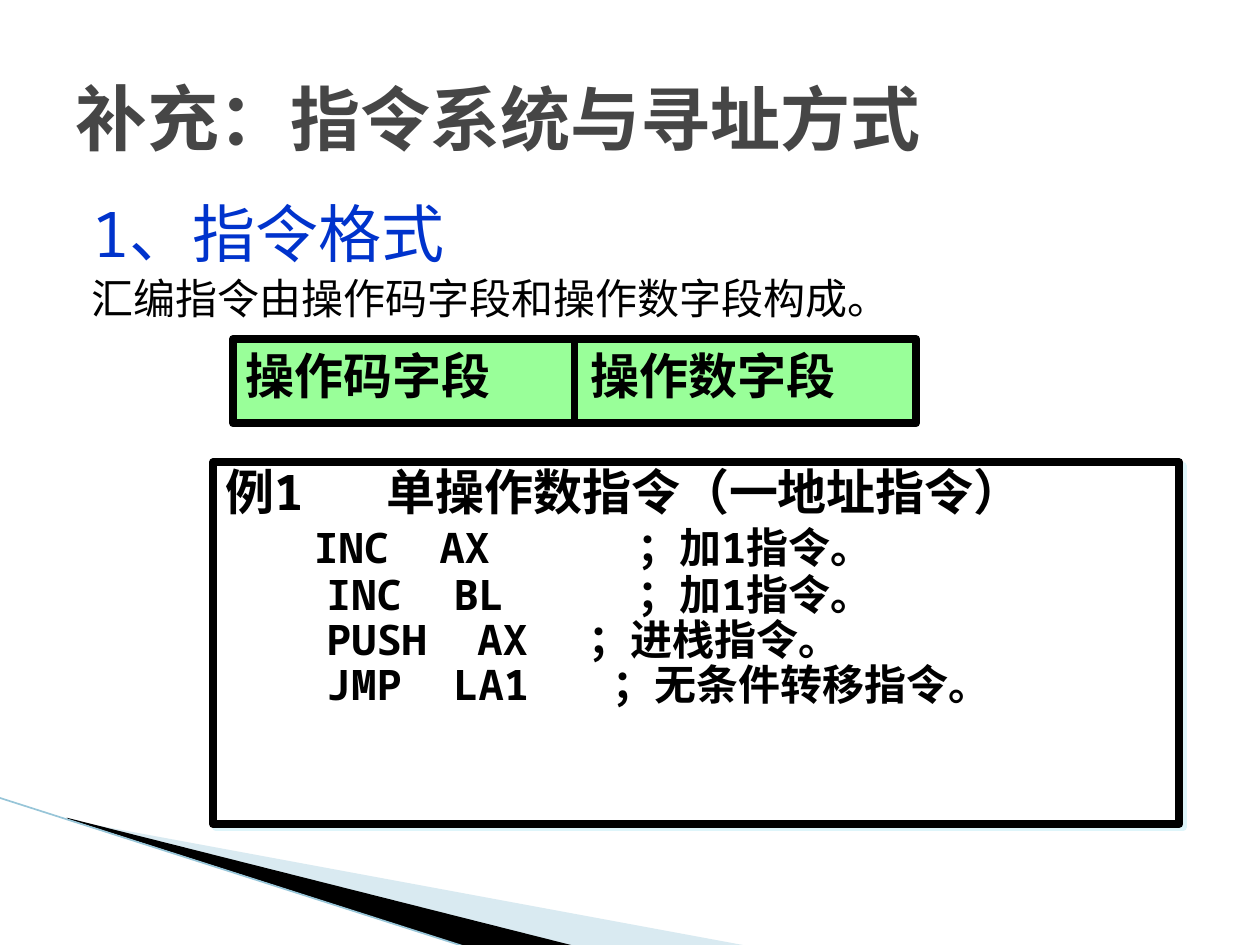
from lxml.etree import SubElement
from pptx import Presentation
from pptx.dml.color import RGBColor
from pptx.enum.shapes import MSO_CONNECTOR, MSO_SHAPE
from pptx.enum.text import MSO_ANCHOR, PP_ALIGN
from pptx.oxml.ns import qn
from pptx.util import Inches, Pt

theme = dict(
    ink="000000", title="464646", head="0033CC", field="99FF99", paper="FFFFFF",
    wedge="A0CBDC", edge="97C5D8", shade="DEF5FA",
    mono="Noto Sans Mono", sans="Noto Sans CJK SC", serif="Times New Roman",
    big=40, lead=41, topic=36, label=28, code=24, border=4.5)

# Grid of 100 columns by 75 rows
deck = Presentation()
deck.slide_width, deck.slide_height = Inches(10), Inches(7.5)
col, row = deck.slide_width / 100, deck.slide_height / 75
slide = deck.slides.add_slide(deck.slide_layouts[6])
shapes = slide.shapes


def grid(*cells):
    return [round(n * (row if i % 2 else col)) for i, n in enumerate(cells)]


def style(para, text, face, size, color, bold=False, stops=()):
    """Fill a paragraph and set its type and its tab stops (in columns)."""
    para.text, para.alignment = text, PP_ALIGN.LEFT
    font = para.font
    font.name, font.size, font.bold = face, Pt(size), bold
    font.color.rgb = RGBColor.from_string(theme[color])
    SubElement(font._element, qn("a:ea"), typeface=theme["sans"])
    if stops:
        tabs = SubElement(para._p.get_or_add_pPr(), qn("a:tabLst"))
        para._p.pPr.insert_element_before(tabs, "a:defRPr", "a:extLst")
        for stop in stops:
            SubElement(tabs, qn("a:tab"), pos=str(round(stop * col)), algn="l")


# Corner wedges and edge line
wedges = [
    ("wedge", [(5.5, 65.1), (59.5, 75.1), (45.6, 75.1), (5.5, 65)]),
    ("ink", [(5.3, 64.9), (45.7, 75.1), (37.2, 75.2), (5.4, 65)])]
for color, spots in wedges:
    points = [grid(*spot) for spot in spots]
    pen = shapes.build_freeform(*points[0])
    pen.add_line_segments(points[1:], close=True)
    wedge = pen.convert_to_shape()
    wedge.shadow.inherit = False
    wedge.line.fill.background()
    wedge.fill.solid()
    wedge.fill.fore_color.rgb = RGBColor.from_string(theme[color])
    if color == "wedge":
        tint = wedge._element.spPr.find(".//" + qn("a:srgbClr"))
        SubElement(tint, qn("a:alpha"), val="40000")

edge = shapes.add_connector(MSO_CONNECTOR.STRAIGHT, *grid(-0.1, 63.3, 37.1, 75.2))
edge.line.color.rgb = RGBColor.from_string(theme["edge"])
edge.line.width = Pt(0.95)

# Title, with a slightly larger lead-in
frame = shapes.add_textbox(*grid(5, 3, 90, 12.5)).text_frame
frame.word_wrap, frame.vertical_anchor = True, MSO_ANCHOR.MIDDLE
para = frame.paragraphs[0]
style(para, "补充：", theme["mono"], theme["lead"], "title", True)
run = para.add_run()
run.text = "指令系统与寻址方式"
run.font.name, run.font.size = theme["sans"], Pt(theme["big"])

# Topic and its statement
frame = shapes.add_textbox(*grid(5.1, 15.6, 90, 49.5)).text_frame
frame.word_wrap = True
topics = [("1、指令格式", theme["topic"], "head"),
          ("汇编指令由操作码字段和操作数字段构成。", theme["code"], "ink")]
for i, (text, size, color) in enumerate(topics):
    para = frame.add_paragraph() if i else frame.paragraphs[0]
    style(para, text, theme["mono"], size, color)
    para.line_spacing, para.space_before = 0.9, Pt(4)
    para._p.pPr.set("marL", str(round(4 * col)))
    para._p.pPr.set("indent", str(round(-2.8 * col)))

# Field box and example box
boxes = []
for place, color in [((18.5, 26.9, 54.2, 6.7), "field"),
                     ((16.9, 36.7, 76.7, 28.7), "paper")]:
    box = shapes.add_shape(MSO_SHAPE.RECTANGLE, *grid(*place))
    box.shadow.inherit = False
    box.fill.solid()
    box.fill.fore_color.rgb = RGBColor.from_string(theme[color])
    box.line.color.rgb = RGBColor.from_string(theme["ink"])
    box.line.width = Pt(theme["border"])
    box.text_frame.word_wrap = True
    box.text_frame.vertical_anchor = MSO_ANCHOR.TOP
    boxes.append(box)
field, sample = boxes

# Two field names and the divider
style(field.text_frame.paragraphs[0], "操作码字段\t操作数字段",
      theme["serif"], theme["label"], "ink", True, [27.4])
split = shapes.add_connector(MSO_CONNECTOR.STRAIGHT, *grid(45.6, 26.9, 45.6, 33.6))
split.begin_connect(field, 0)
split.end_connect(field, 2)
split.line.color.rgb = RGBColor.from_string(theme["ink"])
split.line.width = Pt(theme["border"])
for line in (edge, split):
    SubElement(line._element.spPr, qn("a:effectLst"))

# Pale shadow of the example box
glow = SubElement(sample._element.spPr.find(qn("a:effectLst")), qn("a:outerShdw"),
                  dist=str(Pt(2.8)), dir="2700000", algn="ctr", rotWithShape="0")
SubElement(glow, qn("a:srgbClr"), val=theme["shade"])

# Example: heading, then code with comments (text, size, space before, stops)
label, code = theme["label"], theme["code"]
lines = [
    ("例1\t单操作数指令（一地址指令）", label, 0, [12.8]),
    ("\tINC\tAX\t；加1指令。", code, 3, [7, 17, 32.7]),
    ("\tINC\tBL\t；加1指令。", code, 1, [8, 18.1, 32.7]),
    ("\tPUSH\tAX\t；进栈指令。", code, 0, [8, 20, 28.8]),
    ("\tJMP\tLA1\t；无条件转移指令。", code, 0, [8, 18.1, 30.7])]
frame = sample.text_frame
for i, (text, size, gap, stops) in enumerate(lines):
    para = frame.add_paragraph() if i else frame.paragraphs[0]
    style(para, text, theme["mono"], size, "ink", True, stops)
    para.line_spacing, para.space_before = 0.9, Pt(gap)

deck.save("out.pptx")
